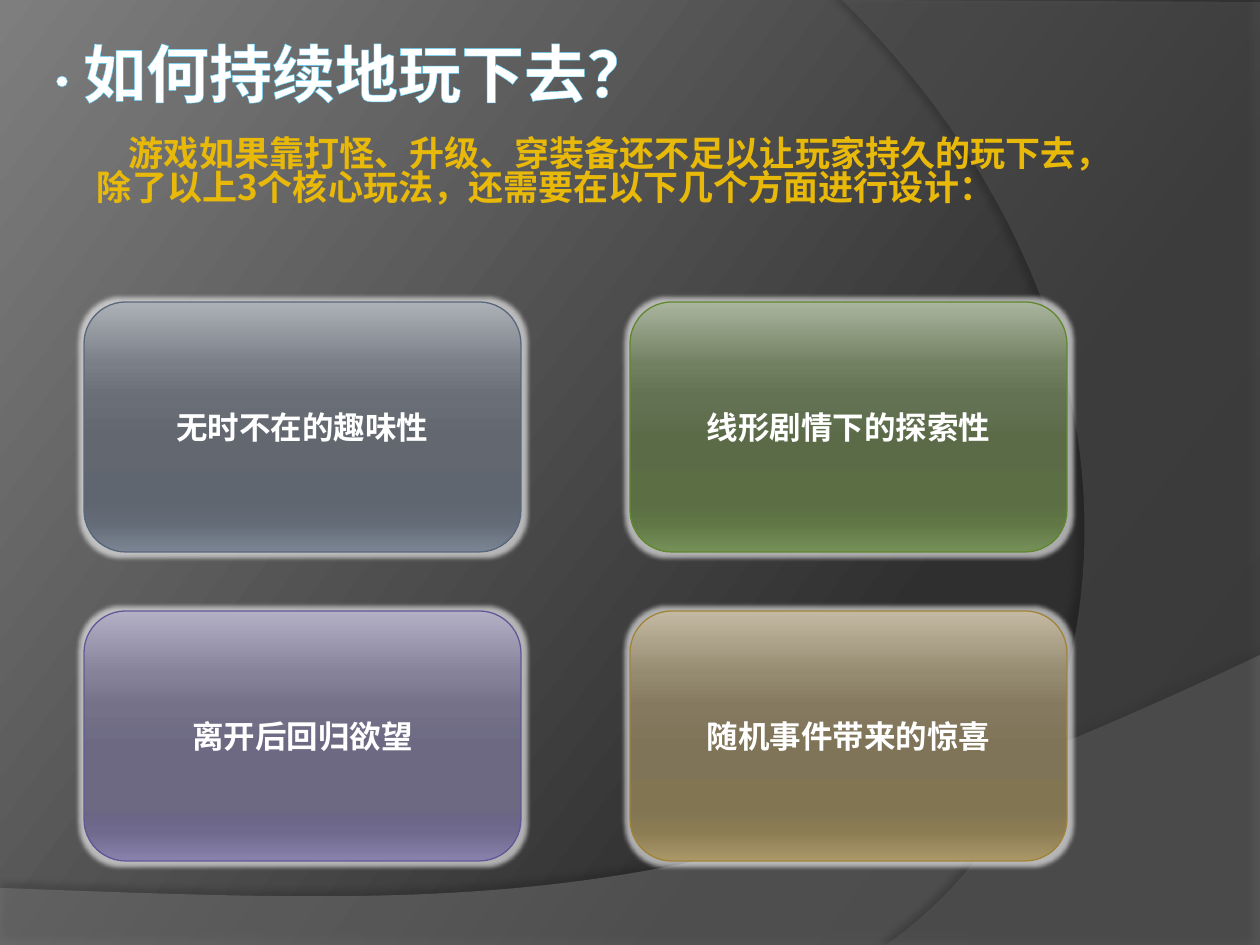
"""Build a slide on what keeps players in a game, with four design cards."""
from pptx import Presentation
from pptx.dml.color import RGBColor
from pptx.enum.shapes import MSO_SHAPE
from pptx.enum.text import MSO_ANCHOR, MSO_AUTO_SIZE, PP_ALIGN
from pptx.oxml import parse_xml
from pptx.oxml.ns import nsdecls, qn
from pptx.util import Pt

ROUNDED = MSO_SHAPE.ROUNDED_RECTANGLE
TOP, MIDDLE = MSO_ANCHOR.TOP, MSO_ANCHOR.MIDDLE
LEFT, CENTER = PP_ALIGN.LEFT, PP_ALIGN.CENTER
NO_AUTOFIT = MSO_AUTO_SIZE.NONE
FONT = "Noto Sans CJK SC"
EMU_PER_INCH, PX_PER_INCH = 914400, 126
WIDTH, HEIGHT = 1260, 945
COLORS = {
    "white": "FFFFFF",
    "gold": "E9B90A",
    "outline": "5DD4FF",
    "shadow": "000000",
    "lower wave": "7F7F7F",
    "right wave": "5E5E5E",
    "slate line": "59677D",
    "green line": "5F882F",
    "violet line": "625899",
    "amber line": "A1843A",
}
BACKGROUND_STOPS = {0: "282828", 30: "2F2F2F", 100: "7E7E7E"}
CARD_POSITIONS = (0, 25, 38, 55, 80, 88, 100)
CARD_FILLS = {
    "slate": "ACB0B7 7A7F87 6A6F77 626770 5F6670 636B77 7B8492",
    "green": "A9B59D 728062 647254 5B6B48 5B6E44 607645 769058",
    "violet": "B3B0C6 86829A 747188 6D6983 6A6684 6F698D 8982AC",
    "amber": "C4BAA3 958B71 857A60 7F7457 827552 8C7C54 AA9868",
}
CARDS = [
    ("slate", "无时不在的趣味性"),
    ("green", "线形剧情下的探索性"),
    ("violet", "离开后回归欲望"),
    ("amber", "随机事件带来的惊喜"),
]


def px(length):
    """Turn pixels into EMU."""
    return round(length * EMU_PER_INCH / PX_PER_INCH)


def apply_format(target, values):
    """Set each attribute named in a dict of format values."""
    for name, value in values.items():
        setattr(target, name, value)


def place(shape, left, top, width, height):
    """Set the position and size of a shape."""
    box = {"left": left, "top": top, "width": width, "height": height}
    apply_format(shape, {name: px(value) for name, value in box.items()})


def use_gradient(properties, stops, angle):
    """Replace the solid fill of a properties element with a gradient."""
    stop_xml = "".join(
        f'<a:gs pos="{position * 1000}"><a:srgbClr val="{color}"/></a:gs>'
        for position, color in stops.items()
    )
    gradient = parse_xml(
        f'<a:gradFill {nsdecls("a")} rotWithShape="1"><a:gsLst>{stop_xml}</a:gsLst>'
        f'<a:lin ang="{angle * 60000}" scaled="0"/></a:gradFill>'
    )
    properties.replace(properties.find(qn("a:solidFill")), gradient)


def set_effect(shape, effect, attributes, color, opacity):
    """Give a shape one glow or shadow effect."""
    shape.shadow.inherit = False
    shape._element.spPr.find(qn("a:effectLst")).append(parse_xml(
        f'<a:{effect} {nsdecls("a")} {attributes}><a:srgbClr val="{COLORS[color]}">'
        f'<a:alpha val="{opacity * 1000}"/></a:srgbClr></a:{effect}>'
    ))


def add_run(paragraph, text, size, color):
    """Add a bold run in the slide font."""
    run = paragraph.add_run()
    run.text = text
    apply_format(run.font, {"size": Pt(size), "bold": True, "name": FONT})
    run.font.color.rgb = RGBColor.from_string(COLORS[color])
    run.font._element.append(parse_xml(f'<a:ea {nsdecls("a")} typeface="{FONT}"/>'))
    return run


def set_frame(frame, anchor, margins):
    """Set wrapping, anchor and left, top, right and bottom margins."""
    apply_format(frame, {"word_wrap": True, "auto_size": NO_AUTOFIT, "vertical_anchor": anchor})
    names = ("margin_left", "margin_top", "margin_right", "margin_bottom")
    apply_format(frame, {name: px(value) for name, value in zip(names, margins)})


def curve(start, first, second, end, steps=60):
    """Return points along a cubic curve, without its start."""
    points = []
    for step in range(1, steps + 1):
        t = step / steps
        weights = ((1 - t) ** 3, 3 * t * (1 - t) ** 2, 3 * t ** 2 * (1 - t), t ** 3)
        points.append(tuple(
            sum(weight * value for weight, value in zip(weights, values))
            for values in zip(start, first, second, end)
        ))
    return points


def add_wave(slide, points, color, opacity, shadow_opacity, shadow_angle):
    """Add a translucent background outline behind the placeholders."""
    builder = slide.shapes.build_freeform(*map(px, points[0]), scale=1.0)
    builder.add_line_segments([tuple(map(px, point)) for point in points[1:]], close=True)
    shape = builder.convert_to_shape()
    shape.fill.solid()
    shape.fill.fore_color.rgb = RGBColor.from_string(COLORS[color])
    shape._element.spPr.find(qn("a:solidFill"))[0].append(
        parse_xml(f'<a:alpha {nsdecls("a")} val="{opacity * 1000}"/>'))
    shape.line.fill.background()
    attributes = f'blurRad="{Pt(4)}" dist="{Pt(4)}" dir="{shadow_angle * 60000}"'
    set_effect(shape, "outerShdw", attributes, "shadow", shadow_opacity)
    slide.shapes.title._element.addprevious(shape._element)


def add_background(slide):
    """Paint the gradient and the two waves."""
    slide.background.fill.solid()
    use_gradient(slide._element.find(".//" + qn("p:bgPr")), BACKGROUND_STOPS, 217)
    lower = [(0, 888), (0, HEIGHT), (WIDTH, HEIGHT), (WIDTH, 655)]
    lower += curve((WIDTH, 655), (704, 919), (493, 906), (0, 888))
    add_wave(slide, lower, "lower wave", 45, 35, 270)
    right = [(WIDTH, 2), (WIDTH, HEIGHT), (886, HEIGHT)]
    right += curve((886, HEIGHT), (1123, 780), (1193, 347), (842, 0))
    add_wave(slide, right, "right wave", 40, 45, 180)


def fill_title(title):
    """Write the outlined heading."""
    place(title, 35, 37, 893, 122)
    set_frame(title.text_frame, TOP, (6, 6, 6, 6))
    paragraph = title.text_frame.paragraphs[0]
    apply_format(paragraph, {"alignment": LEFT, "line_spacing": 0.9})
    for text, size in (("·", 24), ("如何持续地玩下去？", 36)):
        run = add_run(paragraph, text, size, "white")
        run.font._element.insert(0, parse_xml(
            f'<a:ln {nsdecls("a")} w="{Pt(0.39)}"><a:solidFill>'
            f'<a:srgbClr val="{COLORS["outline"]}"/></a:solidFill></a:ln>'))


def fill_subtitle(subtitle):
    """Write the introduction with an indented first line."""
    place(subtitle, 84, 135, 1062, 129)
    set_frame(subtitle.text_frame, TOP, (13, 5, 6, 0))
    paragraph = subtitle.text_frame.paragraphs[0]
    apply_format(paragraph, {"alignment": LEFT, "line_spacing": 0.8, "space_before": Pt(0)})
    paragraph._p.get_or_add_pPr().set("indent", str(px(32)))
    add_run(paragraph, "游戏如果靠打怪、升级、穿装备还不足以让玩家持久的玩下去，"
            "除了以上3个核心玩法，还需要在以下几个方面进行设计：", 20, "gold")


def add_card(slide, left, top, theme, text):
    """Add a glossy rounded card with a glow."""
    shape = slide.shapes.add_shape(ROUNDED, px(left), px(top), px(437), px(250))
    shape.fill.solid()
    stops = dict(zip(CARD_POSITIONS, CARD_FILLS[theme].split()))
    use_gradient(shape._element.spPr, stops, 90)
    shape.line.color.rgb = RGBColor.from_string(COLORS[f"{theme} line"])
    shape.line.width = Pt(0.75)
    set_effect(shape, "glow", f'rad="{Pt(5)}"', "white", 60)
    set_frame(shape.text_frame, MIDDLE, (13, 6, 13, 6))
    paragraph = shape.text_frame.paragraphs[0]
    paragraph.alignment = CENTER
    add_run(paragraph, text, 18, "white")


def main():
    """Build and save the slide."""
    presentation = Presentation()
    apply_format(presentation, {"slide_width": px(WIDTH), "slide_height": px(HEIGHT)})
    slide = presentation.slides.add_slide(presentation.slide_layouts[0])
    add_background(slide)
    fill_title(slide.shapes.title)
    fill_subtitle(slide.placeholders[1])
    for index, (theme, text) in enumerate(CARDS):
        row, column = divmod(index, 2)
        add_card(slide, 84 + 546 * column, 302 + 309 * row, theme, text)
    presentation.save("out.pptx")


if __name__ == "__main__":
    main()
